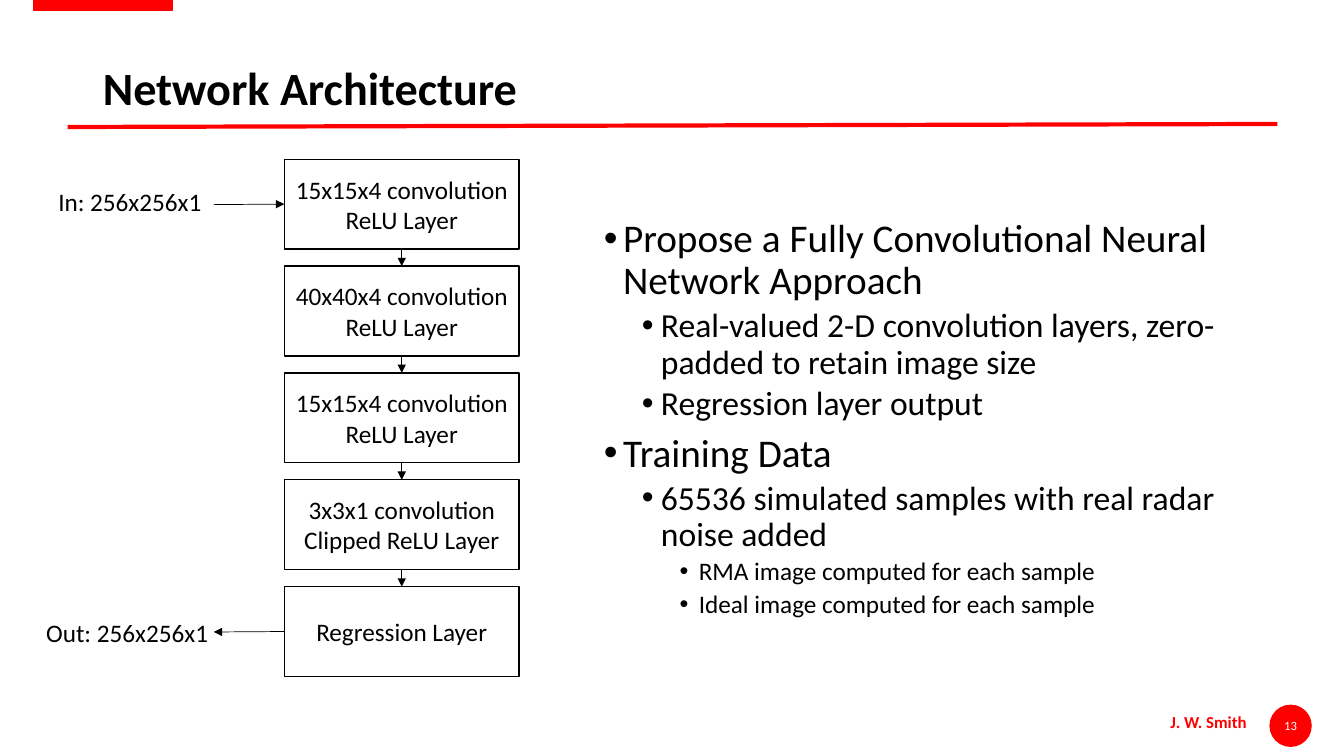
from lxml.etree import SubElement
from pptx import Presentation
from pptx.dml.color import RGBColor
from pptx.enum.shapes import MSO_CONNECTOR, MSO_SHAPE
from pptx.enum.text import MSO_ANCHOR, MSO_AUTO_SIZE, PP_ALIGN
from pptx.oxml.ns import qn
from pptx.util import Inches, Pt

RED = RGBColor(0xFF, 0x00, 0x00)
BLACK = RGBColor(0x00, 0x00, 0x00)
WHITE = RGBColor(0xFF, 0xFF, 0xFF)
FONT = "Calibri"

deck = Presentation()
deck.slide_width, deck.slide_height = Inches(13.33), Inches(7.5)
slide = deck.slides.add_slide(deck.slide_layouts[1])
shapes = slide.shapes


def write(frame, lines, size, color=BLACK, bold=False, align=PP_ALIGN.LEFT):
    for i, line in enumerate(lines):
        para = frame.paragraphs[0] if i == 0 else frame.add_paragraph()
        para.alignment = align
        run = para.add_run()
        run.text = line
        run.font.name, run.font.size = FONT, Pt(size)
        run.font.bold, run.font.color.rgb = bold, color


def connect(x1, y1, x2, y2, color, width, arrow=True):
    link = shapes.add_connector(MSO_CONNECTOR.STRAIGHT, Inches(x1), Inches(y1),
                                Inches(x2), Inches(y2))
    link.line.color.rgb, link.line.width = color, Pt(width)
    if arrow:
        SubElement(link.line._get_or_add_ln(), qn("a:tailEnd"), type="triangle")
    SubElement(link._element.spPr, qn("a:effectLst"))
    return link


# Red frame: page disc, top tab, title rule
for kind, x, y, w, h in [(MSO_SHAPE.OVAL, 12.59, 6.99, 0.42, 0.42),
                         (MSO_SHAPE.RECTANGLE, 0.33, -0.02, 1.38, 0.12)]:
    mark = shapes.add_shape(kind, Inches(x), Inches(y), Inches(w), Inches(h))
    mark.shadow.inherit = False
    mark.fill.solid()
    mark.fill.fore_color.rgb = RED
    if kind == MSO_SHAPE.OVAL:
        mark.line.fill.background()
        disc = mark.text_frame
    else:
        mark.line.color.rgb, mark.line.width = RED, Pt(1)
connect(0.67, 1.26, 12.67, 1.23, RED, 3, arrow=False)

# Page number and author
disc.margin_left = disc.margin_right = disc.margin_top = disc.margin_bottom = 0
disc.vertical_anchor = MSO_ANCHOR.MIDDLE
write(disc, ["13"], 9, WHITE, align=PP_ALIGN.CENTER)
author = shapes.add_textbox(Inches(11.51), Inches(7.01), Inches(0.97), Inches(0.3))
author.text_frame.word_wrap = False
write(author.text_frame, ["J. W. Smith"], 12, RED, bold=True)

# Title
title = shapes.title
title.left, title.top = Inches(0.92), Inches(0.4)
title.width, title.height = Inches(11.5), Inches(0.99)
title.text_frame.auto_size = MSO_AUTO_SIZE.NONE
title.text_frame.vertical_anchor = MSO_ANCHOR.MIDDLE
write(title.text_frame, ["Network Architecture"], 33, bold=True)
title.text_frame.paragraphs[0].line_spacing = 0.9

# Bullet list
points = [
    (0, "Propose a Fully Convolutional Neural Network Approach"),
    (1, "Real-valued 2-D convolution layers, zero-padded to retain image size"),
    (1, "Regression layer output"),
    (0, "Training Data"),
    (1, "65536 simulated samples with real radar noise added"),
    (2, "RMA image computed for each sample"),
    (2, "Ideal image computed for each sample"),
]
sizes = [28, 24, 18]
body = slide.placeholders[1]
body.left, body.top = Inches(5.89), Inches(2.12)
body.width, body.height = Inches(6.53), Inches(4.63)
frame = body.text_frame
frame.auto_size = MSO_AUTO_SIZE.NONE
for i, (level, text) in enumerate(points):
    para = frame.paragraphs[0] if i == 0 else frame.add_paragraph()
    para.level = level
    props = para._p.get_or_add_pPr()
    props.set("marL", str(Inches(0.19 + 0.375 * level)))
    props.set("indent", str(Inches(-0.19)))
    SubElement(props, qn("a:buFont"), typeface="Arial")
    SubElement(props, qn("a:buChar"), char="•")
    para.line_spacing = 0.9
    para.space_before = Pt(0 if i == 0 else 3.8 if level else 7.5)
    run = para.add_run()
    run.text = text
    run.font.name, run.font.size = FONT, Pt(sizes[level])
    run.font.color.rgb = BLACK

# Layer stack
layers = [
    ["15x15x4 convolution", "ReLU Layer"],
    ["40x40x4 convolution", "ReLU Layer"],
    ["15x15x4 convolution", "ReLU Layer"],
    ["3x3x1 convolution", "Clipped ReLU Layer"],
    ["Regression Layer"],
]
boxes = []
for i, lines in enumerate(layers):
    box = shapes.add_shape(MSO_SHAPE.RECTANGLE, Inches(2.82), Inches(1.58 + 1.06 * i),
                           Inches(2.33), Inches(0.89))
    box.shadow.inherit = False
    box.fill.solid()
    box.fill.fore_color.rgb = WHITE
    box.line.color.rgb, box.line.width = BLACK, Pt(1)
    box.text_frame.vertical_anchor = MSO_ANCHOR.MIDDLE
    write(box.text_frame, lines, 18, align=PP_ALIGN.CENTER)
    boxes.append(box)

# Arrows between layers, then in and out
for upper, lower in zip(boxes, boxes[1:]):
    link = connect(3.98, 2.47, 3.98, 2.64, BLACK, 0.5)
    link.begin_connect(upper, 2)
    link.end_connect(lower, 0)
connect(2.12, 2.03, 2.82, 2.03, BLACK, 0.5).end_connect(boxes[0], 1)
connect(2.82, 6.27, 2.12, 6.27, BLACK, 0.5).begin_connect(boxes[-1], 1)

# Input and output labels
for text, x, y, w in [("In: 256x256x1", 0.48, 1.8, 1.76),
                      ("Out: 256x256x1", 0.36, 6.08, 1.87)]:
    label = shapes.add_textbox(Inches(x), Inches(y), Inches(w), Inches(0.4))
    label.text_frame.word_wrap = True
    write(label.text_frame, [text], 18)

deck.save("out.pptx")
